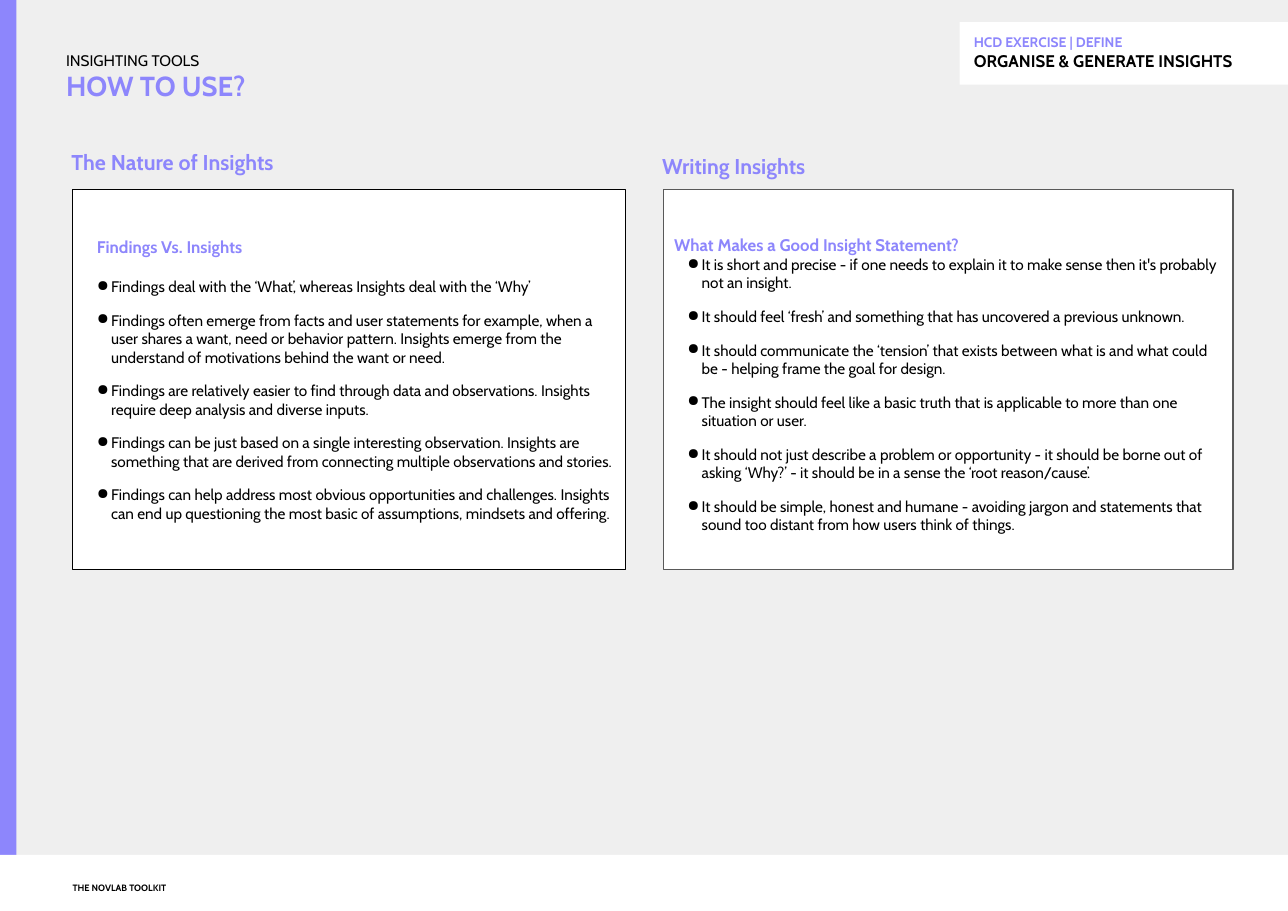
"""Build the slide on using insighting tools, with two panels of guidance."""
from lxml.etree import SubElement
from pptx import Presentation
from pptx.dml.color import RGBColor
from pptx.enum.shapes import MSO_SHAPE
from pptx.enum.text import MSO_ANCHOR, PP_ALIGN
from pptx.oxml.ns import qn
from pptx.util import Inches, Pt

VIOLET = RGBColor(0x8D, 0x86, 0xFC)
PALE_GREY = RGBColor(0xEF, 0xEF, 0xEF)
DARK_GREY = RGBColor(0x59, 0x59, 0x59)
BLACK = RGBColor(0, 0, 0)
WHITE = RGBColor(255, 255, 255)

presentation = Presentation()
presentation.slide_width = Inches(11.69)
presentation.slide_height = Inches(8.27)
slide = presentation.slides.add_slide(presentation.slide_layouts[6])
column = presentation.slide_width / 100
row = presentation.slide_height / 100


def add_block(left, top, width, height, fill=None, line=None,
              anchor=MSO_ANCHOR.TOP, inset=0.1):
    """Add a rectangle, or a text box when there is no fill, in percent of the slide."""
    place = [int(left * column), int(top * row), int(width * column), int(height * row)]
    if fill is None:
        shape = slide.shapes.add_textbox(*place)
    else:
        shape = slide.shapes.add_shape(MSO_SHAPE.RECTANGLE, *place)
        shape.shadow.inherit = False
        shape.fill.solid()
        shape.fill.fore_color.rgb = fill
        if line is None:
            shape.line.fill.background()
        else:
            shape.line.color.rgb = line
            shape.line.width = Pt(0.75)
    frame = shape.text_frame
    frame.word_wrap = True
    frame.vertical_anchor = anchor
    frame.margin_left = frame.margin_right = Inches(inset)
    frame.margin_top = frame.margin_bottom = Inches(inset)
    return frame


def write_lines(frame, lines):
    """Write one paragraph for each (text, size, colour, bold)."""
    frame.text = "\n".join(line[0] for line in lines)
    for paragraph, (_, size, colour, bold) in zip(frame.paragraphs, lines):
        paragraph.alignment = PP_ALIGN.LEFT
        for run in paragraph.runs:
            run.font.name = "Cabin"
            run.font.size = Pt(size)
            run.font.color.rgb = colour
            run.font.bold = bold


add_block(0.7, 0, 99.3, 100, PALE_GREY)
add_block(0, 0, 1.28, 100, VIOLET)
add_block(0, 93.83, 100, 6.17, WHITE)

title = add_block(4.02, 3.51, 47.22, 9.31, anchor=MSO_ANCHOR.BOTTOM, inset=0.13)
write_lines(title, [("INSIGHTING TOOLS", 10, BLACK, False),
                    ("HOW TO USE?", 18, VIOLET, True)])

exercise = add_block(74.5, 2.42, 25.5, 6.89, WHITE, anchor=MSO_ANCHOR.BOTTOM, inset=0.13)
write_lines(exercise, [("HCD EXERCISE | DEFINE", 9, VIOLET, True),
                       ("ORGANISE & GENERATE INSIGHTS", 11, BLACK, True)])

footer = add_block(4.79, 95.16, 39.44, 3.51, anchor=MSO_ANCHOR.BOTTOM)
write_lines(footer, [("THE NOVLAB TOOLKIT", 6, BLACK, True)])

for text, left, top in [("The Nature of Insights", 4.7, 15.11),
                        ("Writing Insights", 50.56, 15.6)]:
    heading = add_block(left, top, 39.44, 4.96)
    write_lines(heading, [(text, 14, VIOLET, True)])

panels = [
    (5.65, 42.94, BLACK, "Findings Vs. Insights", 0.12, 1, 13.4, [
        "Findings deal with the ‘What’, whereas Insights deal with the ‘Why’",
        "Findings often emerge from facts and user statements for example, when a user "
        "shares a want, need or behavior pattern. Insights emerge from the understand "
        "of motivations behind the want or need.",
        "Findings are relatively easier to find through data and observations. Insights "
        "require deep analysis and diverse inputs.",
        "Findings can be just based on a single interesting observation. Insights are "
        "something that are derived from connecting multiple observations and stories.",
        "Findings can help address most obvious opportunities and challenges. Insights "
        "can end up questioning the most basic of assumptions, mindsets and offering.",
    ]),
    (51.5, 44.23, DARK_GREY, "What Makes a Good Insight Statement?", 0, 1.5, 0, [
        "It is short and precise - if one needs to explain it to make sense then it's "
        "probably not an insight.",
        "It should feel ‘fresh’ and something that has uncovered a previous unknown.",
        "It should communicate the ‘tension’ that exists between what is and what could "
        "be - helping frame the goal for design.",
        "The insight should feel like a basic truth that is applicable to more than one "
        "situation or user.",
        "It should not just describe a problem or opportunity - it should be borne out of "
        "asking ‘Why?’ - it should be in a sense the ‘root reason/cause’.",
        "It should be simple, honest and humane - avoiding jargon and statements that "
        "sound too distant from how users think of things.",
    ]),
]

for left, width, outline, heading, indent, spacing, gap, points in panels:
    panel = add_block(left, 20.8, width, 41.72, WHITE, outline, MSO_ANCHOR.MIDDLE)
    write_lines(panel, [(heading, 11, VIOLET, True)]
                + [(point, 10, BLACK, False) for point in points])
    first, *bullets = panel.paragraphs
    first.line_spacing = spacing
    first.space_after = Pt(gap)
    first._p.get_or_add_pPr().set("marL", str(Inches(indent)))
    for number, paragraph in enumerate(bullets):
        properties = paragraph._p.get_or_add_pPr()
        properties.set("marL", str(Inches(0.25)))
        properties.set("indent", str(Inches(-0.13)))
        bullet_colour = SubElement(properties, qn("a:buClr"))
        SubElement(bullet_colour, qn("a:srgbClr")).set("val", str(BLACK))
        SubElement(properties, qn("a:buChar")).set("char", "●")
        paragraph.space_before = Pt(10 if number else 0)
    bullets[-1].space_after = Pt(10)

presentation.save("out.pptx")
